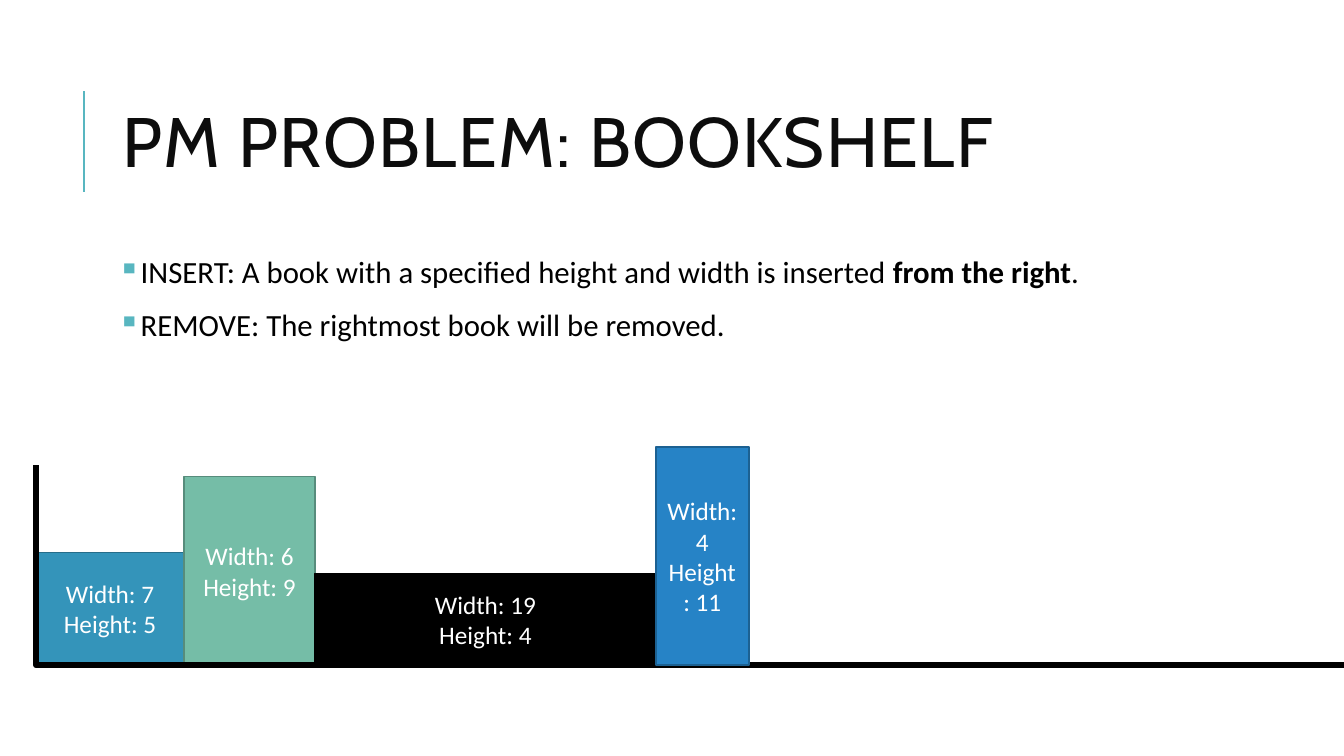
from lxml import etree
from pptx import Presentation
from pptx.dml.color import RGBColor
from pptx.enum import shapes, text
from pptx.oxml import ns
from pptx.util import Cm, Pt

BLACK = RGBColor(0x00, 0x00, 0x00)
WHITE = RGBColor(0xFF, 0xFF, 0xFF)
INK = RGBColor(0x0D, 0x0D, 0x0D)
TEAL = RGBColor(0x58, 0xB6, 0xC0)
BLUE, BLUE_EDGE = RGBColor(0x34, 0x94, 0xBA), RGBColor(0x26, 0x6D, 0x8A)
GREEN, GREEN_EDGE = RGBColor(0x75, 0xBD, 0xA7), RGBColor(0x57, 0x8C, 0x7C)
AZURE, AZURE_EDGE = RGBColor(0x26, 0x83, 0xC6), RGBColor(0x1C, 0x61, 0x92)

# Content: each paragraph is a list of (words, bold) runs
TITLE = [[("PM PROBLEM: BOOKSHELF", False)]]
OPERATIONS = [
    [("INSERT: A book with a specified height and width is inserted ", False),
     ("from the right", True), (".", False)],
    [("REMOVE: The rightmost book will be removed.", False)],
]
# Width and height labels, drawn width and height in cm, fill, edge
BOOKS = [
    (7, 5, 3.73, 2.84, BLUE, BLUE_EDGE),
    (6, 9, 3.3, 4.75, GREEN, GREEN_EDGE),
    (19, 4, 8.59, 2.31, BLACK, BLACK),
    (4, 11, 2.34, 5.49, AZURE, AZURE_EDGE),
]

# Layout in cm
SLIDE_WIDTH, SLIDE_HEIGHT = 33.87, 19.05
TEXT_LEFT, TEXT_WIDTH = 2.84, 27
SHELF_LEFT, SHELF_TOP, SHELF_BASE = 0.91, 11.73, 16.76


def add_child(parent, tag, **attributes):
    return etree.SubElement(parent, ns.qn(tag), attributes)


def write(frame, paragraphs, size, color, font="Calibri", align=None, anchor=None,
          leading=None, before=0, after=0, spacing=None, bullet=None):
    frame.word_wrap = True
    frame.vertical_anchor = anchor
    for number, runs in enumerate(paragraphs):
        paragraph = frame.add_paragraph() if number else frame.paragraphs[0]
        paragraph.alignment = align
        paragraph.line_spacing = leading
        paragraph.space_before, paragraph.space_after = Pt(before), Pt(after)
        if bullet:
            props = paragraph._p.get_or_add_pPr()
            props.set("marL", str(Cm(0.5)))
            props.set("indent", str(-Cm(0.5)))
            add_child(add_child(props, "a:buClr"), "a:srgbClr", val=str(TEAL))
            add_child(props, "a:buChar", char=bullet)
        for words, bold in runs:
            run = paragraph.add_run()
            run.text = words
            run.font.name, run.font.size, run.font.bold = font, Pt(size), bold
            run.font.color.rgb = color
            if spacing:
                run._r.get_or_add_rPr().set("spc", str(spacing))


def add_book(slide, left, book):
    label_width, label_height, width, height, fill, edge = book
    block = slide.shapes.add_shape(
        shapes.MSO_SHAPE.RECTANGLE, Cm(left), Cm(SHELF_BASE - height), Cm(width), Cm(height))
    block.shadow.inherit = False
    block.fill.solid()
    block.fill.fore_color.rgb = fill
    block.line.color.rgb, block.line.width = edge, Pt(1.25)
    labels = [[(f"Width: {label_width}", False)], [(f"Height: {label_height}", False)]]
    write(block.text_frame, labels, size=18, color=WHITE,
          align=text.PP_ALIGN.CENTER, anchor=text.MSO_ANCHOR.MIDDLE)


def add_shelf(slide):
    outline = slide.shapes.build_freeform(Cm(SHELF_LEFT), Cm(SHELF_TOP))
    outline.add_line_segments(
        [(Cm(SHELF_LEFT), Cm(SHELF_BASE)), (Cm(SLIDE_WIDTH), Cm(SHELF_BASE))], close=False)
    shelf = outline.convert_to_shape()
    shelf.shadow.inherit = False
    shelf.fill.background()
    shelf.line.color.rgb, shelf.line.width = BLACK, Pt(4.5)
    add_child(shelf.line._get_or_add_ln(), "a:round")


def main():
    deck = Presentation()
    deck.slide_width, deck.slide_height = Cm(SLIDE_WIDTH), Cm(SLIDE_HEIGHT)
    slide = deck.slides.add_slide(deck.slide_layouts[6])

    # Title with its accent rule
    accent = slide.shapes.add_connector(
        shapes.MSO_CONNECTOR.STRAIGHT, Cm(2.12), Cm(4.83), Cm(2.12), Cm(2.29))
    accent.line.color.rgb, accent.line.width = TEAL, Pt(1.5)
    add_child(accent._element.spPr, "a:effectLst")
    title = slide.shapes.add_textbox(Cm(TEXT_LEFT), Cm(1.63), Cm(TEXT_WIDTH), Cm(4.17))
    write(title.text_frame, TITLE, size=50, color=INK, font="Cabin", leading=0.8,
          anchor=text.MSO_ANCHOR.MIDDLE, spacing=100)

    # Operations
    operations = slide.shapes.add_textbox(Cm(TEXT_LEFT), Cm(6.35), Cm(TEXT_WIDTH), Cm(11.18))
    frame = operations.text_frame
    frame.margin_left = frame.margin_right = Cm(0.13)
    frame.margin_top = frame.margin_bottom = Cm(0.13)
    write(frame, OPERATIONS, size=22, color=BLACK, leading=0.9, before=12, after=2, bullet="▪")

    # Books side by side; the newest one stands in front of the shelf
    left = SHELF_LEFT
    for book in BOOKS:
        if book is BOOKS[-1]:
            add_shelf(slide)
        add_book(slide, left, book)
        left += book[2]

    deck.save("out.pptx")


if __name__ == "__main__":
    main()
